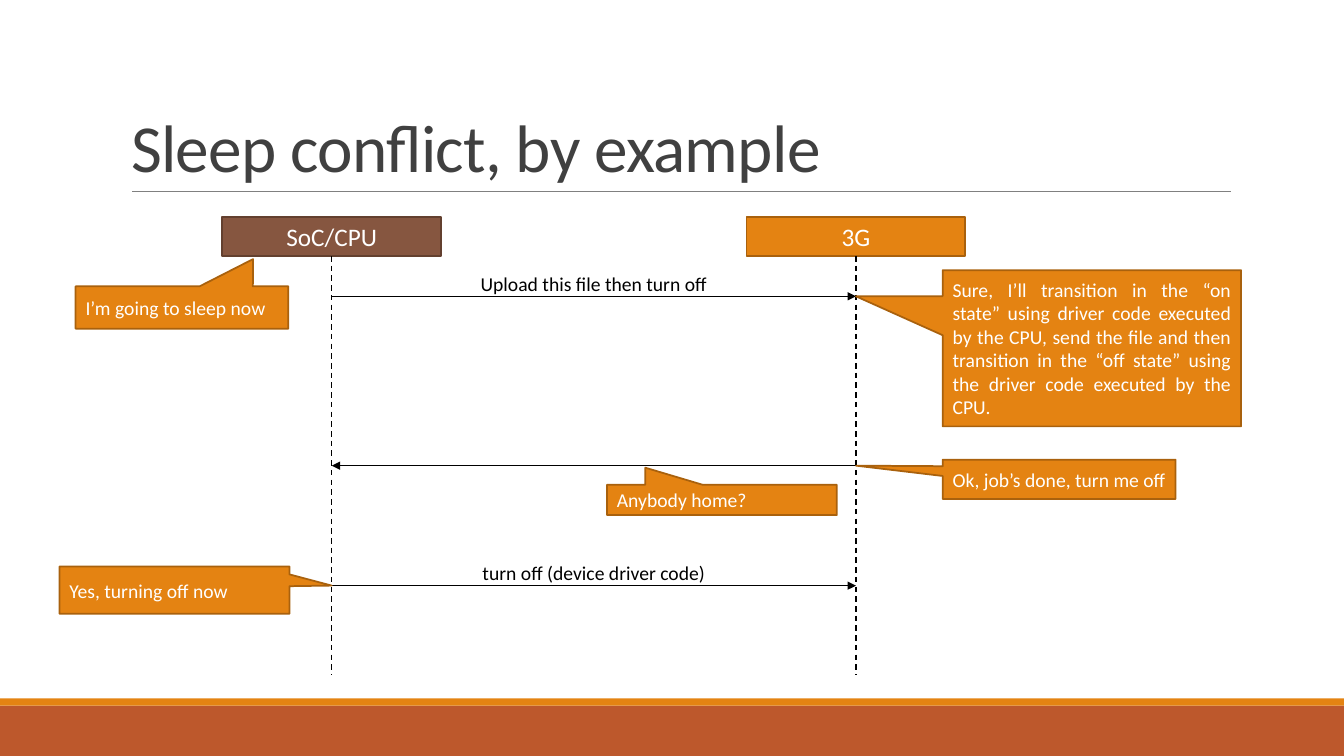
from dataclasses import dataclass

from pptx import Presentation
from pptx.dml.color import RGBColor
from pptx.enum.dml import MSO_LINE
from pptx.enum.shapes import MSO_CONNECTOR, MSO_SHAPE
from pptx.enum.text import MSO_ANCHOR, MSO_AUTO_SIZE, PP_ALIGN
from pptx.oxml.ns import qn
from pptx.util import Inches, Pt
from lxml.etree import SubElement


@dataclass(frozen=True)
class Theme:
    font: str = "Calibri"
    title: int = 48
    head: int = 18
    body: int = 14
    dark: str = "404040"
    black: str = "000000"
    white: str = "FFFFFF"
    grey: str = "808080"
    orange: str = "E48312"
    orange_edge: str = "A9610D"
    brown: str = "865640"
    brown_edge: str = "63402F"
    rust: str = "BD582C"


T = Theme()


def write(tf, text, size=T.body, color=T.white, align=PP_ALIGN.CENTER,
          anchor=MSO_ANCHOR.MIDDLE, auto_size=MSO_AUTO_SIZE.NONE):
    tf.word_wrap = True
    tf.auto_size = auto_size
    tf.vertical_anchor = anchor
    p = tf.paragraphs[0]
    p.alignment = align
    r = p.add_run()
    r.text = text
    r.font.name = T.font
    r.font.size = Pt(size)
    r.font.color.rgb = RGBColor.from_string(color)
    return p, r


def add_line(x1, y1, x2, y2, color=T.black, width=1, dash=None, arrow=False):
    c = s.shapes.add_connector(MSO_CONNECTOR.STRAIGHT, Inches(x1), Inches(y1),
                               Inches(x2), Inches(y2))
    c.line.color.rgb = RGBColor.from_string(color)
    c.line.width = Pt(width)
    if dash:
        c.line.dash_style = dash
    if arrow:
        SubElement(c.line._ln, qn("a:tailEnd"), type="triangle")
    SubElement(c._element.spPr, qn("a:effectLst"))
    return c


prs = Presentation()
prs.slide_width, prs.slide_height = Inches(13.33), Inches(7.5)
s = prs.slides.add_slide(prs.slide_layouts[5])

for top, height, color in [(7, 0.5, T.rust), (6.93, 0.07, T.orange)]:
    sp = s.shapes.add_shape(MSO_SHAPE.RECTANGLE, 0, Inches(top),
                            prs.slide_width, Inches(height))
    sp.shadow.inherit = False
    sp.fill.solid()
    sp.fill.fore_color.rgb = RGBColor.from_string(color)
    sp.line.fill.background()

add_line(1.31, 1.9, 12.21, 1.9, color=T.grey, width=0.5)

title = s.shapes.title
title.left, title.top = Inches(1.2), Inches(0.31)
title.width, title.height = Inches(11), Inches(1.59)
p, r = write(title.text_frame, "Sleep conflict, by example", size=T.title,
             color=T.dark, align=PP_ALIGN.LEFT, anchor=MSO_ANCHOR.BOTTOM)
p.line_spacing = 0.85
r.font._element.set("spc", "-50")

CPU_X, MODEM_X = 3.29, 8.49
HEAD_W, HEAD_H, HEAD_TOP, LIFE_END = 2.17, 0.39, 2.15, 6.7

for x, name, fill, edge in [(CPU_X, "SoC/CPU", T.brown, T.brown_edge),
                            (MODEM_X, "3G", T.orange, T.orange_edge)]:
    sp = s.shapes.add_shape(MSO_SHAPE.RECTANGLE, Inches(x - HEAD_W / 2),
                            Inches(HEAD_TOP), Inches(HEAD_W), Inches(HEAD_H))
    sp.shadow.inherit = False
    sp.fill.solid()
    sp.fill.fore_color.rgb = RGBColor.from_string(fill)
    sp.line.color.rgb = RGBColor.from_string(edge)
    sp.line.width = Pt(1.25)
    write(sp.text_frame, name, size=T.head)
    life = add_line(x, HEAD_TOP + HEAD_H, x, LIFE_END, dash=MSO_LINE.DASH)
    life.begin_connect(sp, 2)

UPLOAD_Y, DONE_Y, OFF_Y = 2.94, 4.62, 5.81
messages = [
    (CPU_X, MODEM_X, UPLOAD_Y, "Upload this file then turn off"),
    (MODEM_X, CPU_X, DONE_Y, None),
    (CPU_X, MODEM_X, OFF_Y, "turn off (device driver code)"),
]
for start, end, y, label in messages:
    add_line(start, y, end, y, arrow=True)
    if label:
        tb = s.shapes.add_textbox(Inches(CPU_X), Inches(y - 0.29),
                                  Inches(MODEM_X - CPU_X), Inches(0.34))
        write(tb.text_frame, label, color=T.black, anchor=MSO_ANCHOR.TOP,
              auto_size=MSO_AUTO_SIZE.SHAPE_TO_FIT_TEXT)

callouts = [
    (9.35, 2.68, 2.96, 1.55, MODEM_X, UPLOAD_Y,
     "Sure, I’ll transition in the “on state” using driver code executed by "
     "the CPU, send the file and then transition in the “off state” using "
     "the driver code executed by the CPU."),
    (0.75, 2.84, 2.11, 0.42, 2.51, 2.57, "I’m going to sleep now"),
    (6.02, 4.81, 2.28, 0.3, 6.4, 4.64, "Anybody home?"),
    (0.59, 5.62, 2.28, 0.47, CPU_X, OFF_Y, "Yes, turning off now"),
    (9.35, 4.56, 2.31, 0.39, MODEM_X, DONE_Y, "Ok, job’s done, turn me off"),
]
for left, top, width, height, tip_x, tip_y, text in callouts:
    sp = s.shapes.add_shape(MSO_SHAPE.RECTANGULAR_CALLOUT, Inches(left),
                            Inches(top), Inches(width), Inches(height))
    sp.adjustments[0] = (tip_x - left) / width - 0.5
    sp.adjustments[1] = (tip_y - top) / height - 0.5
    sp.shadow.inherit = False
    sp.fill.solid()
    sp.fill.fore_color.rgb = RGBColor.from_string(T.orange)
    sp.line.color.rgb = RGBColor.from_string(T.orange_edge)
    sp.line.width = Pt(1.25)
    write(sp.text_frame, text, align=PP_ALIGN.JUSTIFY)

prs.save("out.pptx")
